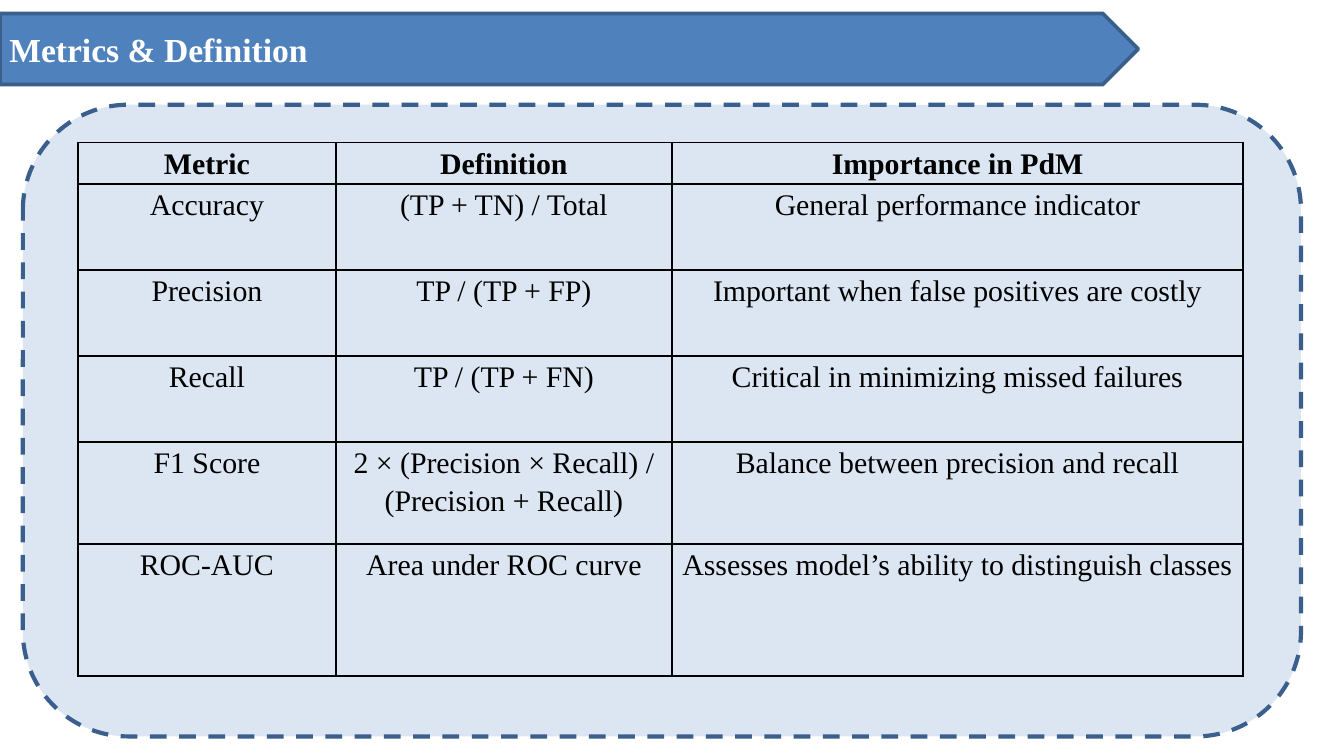
from pptx import Presentation
from pptx.dml.color import RGBColor
from pptx.enum import dml, shapes, text
from pptx.oxml import parse_xml
from pptx.oxml.ns import nsdecls
from pptx.util import Inches, Pt

# Content
TITLE = "Metrics & Definition"
METRICS = [
    ("Metric", "Definition", "Importance in PdM"),
    ("Accuracy", "(TP + TN) / Total", "General performance indicator"),
    ("Precision", "TP / (TP + FP)", "Important when false positives are costly"),
    ("Recall", "TP / (TP + FN)", "Critical in minimizing missed failures"),
    ("F1 Score", "2 × (Precision × Recall) / (Precision + Recall)",
     "Balance between precision and recall"),
    ("ROC-AUC", "Area under ROC curve",
     "Assesses model’s ability to distinguish classes"),
]
COLUMN_WIDTHS = [1.92, 2.5, 4.25]
ROW_HEIGHTS = [0.31, 0.64, 0.64, 0.64, 0.76, 0.98]

FONT = "Times New Roman"
BLUE = RGBColor(0x4F, 0x81, 0xBD)
DARK_BLUE = RGBColor(0x3A, 0x5F, 0x8C)
PALE_BLUE = RGBColor(0xDC, 0xE6, 0xF2)
WHITE = RGBColor(0xFF, 0xFF, 0xFF)
BLACK = RGBColor(0, 0, 0)


def add_panel(slide, preset, box, fill, line_width):
    panel = slide.shapes.add_shape(preset, *map(Inches, box))
    panel.shadow.inherit = False
    panel.fill.solid()
    panel.fill.fore_color.rgb = fill
    panel.line.color.rgb = DARK_BLUE
    panel.line.width = Pt(line_width)
    return panel


def format_text(paragraph, size, color, bold):
    for run in paragraph.runs:
        run.font.name = FONT
        run.font.size = Pt(size)
        run.font.color.rgb = color
        run.font.bold = bold


def set_borders(cell):
    properties = cell._tc.get_or_add_tcPr()
    for position, side in enumerate(("lnL", "lnR", "lnT", "lnB")):
        properties.insert(position, parse_xml(
            f'<a:{side} {nsdecls("a")} w="{Pt(1)}"><a:solidFill>'
            f'<a:srgbClr val="{BLACK}"/></a:solidFill></a:{side}>'))


def fill_cell(cell, wording, bold):
    cell.fill.background()
    cell.margin_left = cell.margin_right = Inches(0.07)
    cell.margin_top = cell.margin_bottom = 0
    cell.text_frame.text = wording
    paragraph = cell.text_frame.paragraphs[0]
    paragraph.alignment = text.PP_ALIGN.CENTER
    paragraph.line_spacing = 1.15
    paragraph.space_before = Pt(12)
    format_text(paragraph, 16, BLACK, bold)
    set_borders(cell)


def main():
    # Widescreen 16:9 slide
    deck = Presentation()
    deck.slide_width = Inches(10)
    deck.slide_height = deck.slide_width * 9 // 16
    slide = deck.slides.add_slide(deck.slide_layouts[6])

    # Title banner
    banner = add_panel(slide, shapes.MSO_SHAPE.PENTAGON,
                       (0, 0.1, 8.47, 0.53), BLUE, 2)
    frame = banner.text_frame
    frame.text = TITLE
    frame.vertical_anchor = text.MSO_ANCHOR.MIDDLE
    frame.margin_left = frame.margin_right = Inches(0.07)
    frame.margin_top = frame.margin_bottom = Inches(0.04)
    frame.paragraphs[0].alignment = text.PP_ALIGN.LEFT
    format_text(frame.paragraphs[0], 18, WHITE, True)

    # Dashed backdrop
    backdrop = add_panel(slide, shapes.MSO_SHAPE.ROUNDED_RECTANGLE,
                         (0.17, 0.78, 9.51, 4.7), PALE_BLUE, 2.25)
    backdrop.line.dash_style = dml.MSO_LINE.DASH

    # Metrics table
    table = slide.shapes.add_table(
        len(METRICS), len(COLUMN_WIDTHS), Inches(0.58), Inches(1.06),
        Inches(sum(COLUMN_WIDTHS)), Inches(sum(ROW_HEIGHTS))).table
    table.first_row = table.horz_banding = False
    for column, width in zip(table.columns, COLUMN_WIDTHS):
        column.width = Inches(width)
    for r, (row, height) in enumerate(zip(table.rows, ROW_HEIGHTS)):
        row.height = Inches(height)
        for cell, wording in zip(row.cells, METRICS[r]):
            fill_cell(cell, wording, bold=r == 0)

    deck.save("out.pptx")


if __name__ == "__main__":
    main()
